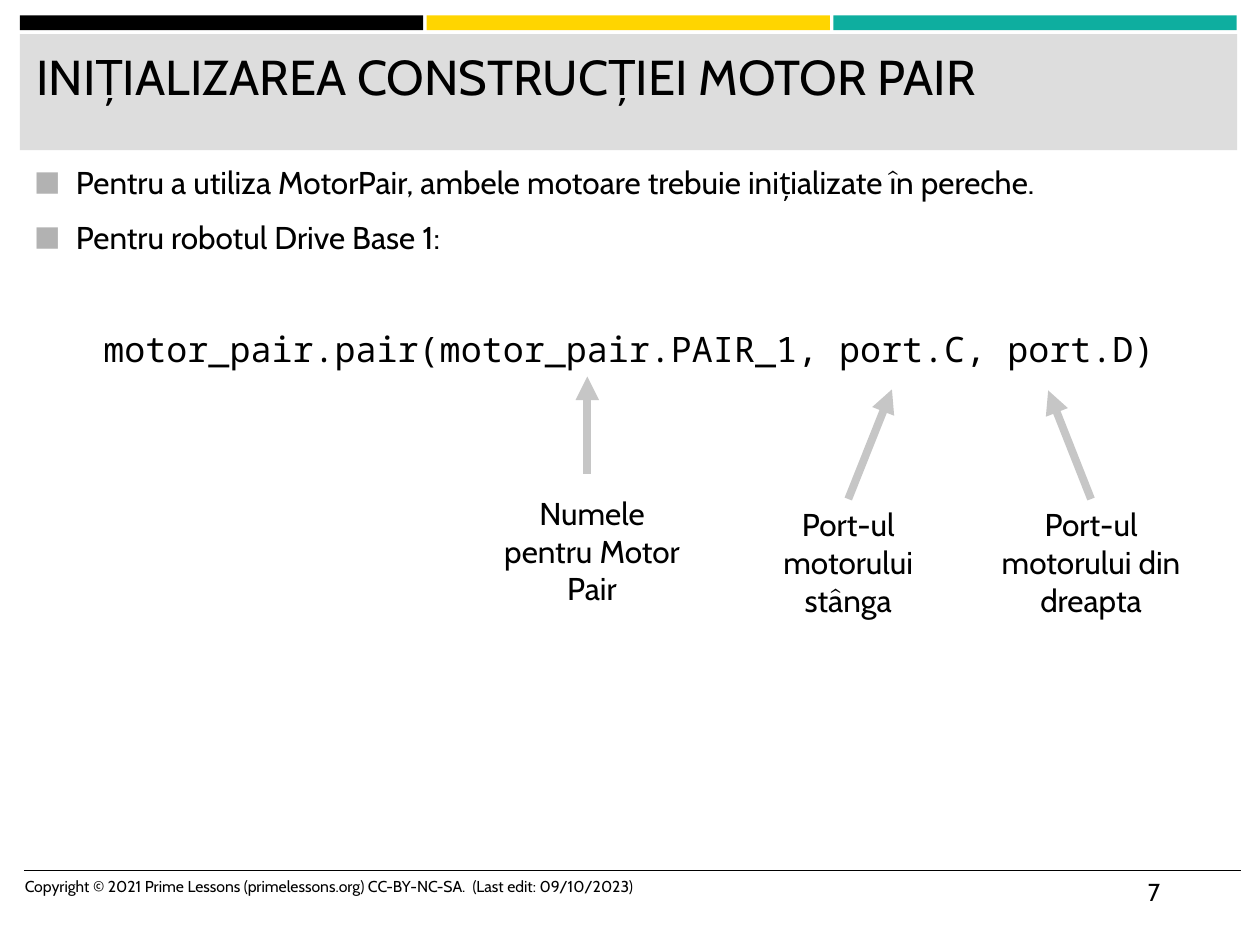
from lxml import etree
from pptx import Presentation
from pptx import util as u
from pptx.dml.color import RGBColor
from pptx.enum import shapes, text
from pptx.oxml import ns

BLACK, YELLOW, TEAL = "000000", "FFD500", "0EAE9F"
PANEL, BULLET, ARROW = "DDDDDD", "B2B2B2", "C6C6C6"


def colour(value):
    return RGBColor.from_string(value)


def add_element(parent, tag, **attributes):
    return etree.SubElement(parent, ns.qn(tag), attributes)


class LessonPage:
    """Holds the lesson style and the page being drawn; lengths are in cm."""

    font = "Cabin"
    code_font = "Noto Sans Mono"

    def __init__(self, page):
        self.page = page

    def bar(self, left, top, width, height, fill):
        shape = self.page.shapes.add_shape(
            shapes.MSO_SHAPE.RECTANGLE,
            u.Cm(left), u.Cm(top), u.Cm(width), u.Cm(height))
        shape.shadow.inherit = False
        shape.fill.solid()
        shape.fill.fore_color.rgb = colour(fill)
        shape.line.fill.background()

    def text(self, left, top, width, height, lines, size,
             font=None, centred=False, bullets=False):
        box = self.page.shapes.add_textbox(
            u.Cm(left), u.Cm(top), u.Cm(width), u.Cm(height))
        frame = box.text_frame
        frame.word_wrap = True
        for index, line in enumerate(lines):
            para = frame.add_paragraph() if index else frame.paragraphs[0]
            para.text = line
            if centred:
                para.alignment = text.PP_ALIGN.CENTER
            if index:
                para.space_before = u.Pt(9.6)
            if bullets:
                self.bullet(para)
            para.font.name = font or self.font
            para.font.size = u.Pt(size)
            para.font.color.rgb = colour(BLACK)
        return box

    def bullet(self, para):
        properties = para._p.get_or_add_pPr()
        indent = u.Cm(0.84)
        properties.set("marL", str(indent))
        properties.set("indent", str(-indent))
        bullet_colour = add_element(properties, "a:buClr")
        add_element(bullet_colour, "a:srgbClr", val=BULLET)
        add_element(properties, "a:buSzPct", val="140000")
        add_element(properties, "a:buFont", typeface=self.code_font)
        add_element(properties, "a:buChar", char="■")

    def line(self, start, end, stroke, width, arrow=False):
        connector = self.page.shapes.add_connector(
            shapes.MSO_CONNECTOR.STRAIGHT, *map(u.Cm, (*start, *end)))
        connector.line.color.rgb = colour(stroke)
        connector.line.width = u.Pt(width)
        if arrow:
            add_element(connector.line._get_or_add_ln(), "a:tailEnd", type="triangle")
        add_element(connector._element.spPr, "a:effectLst")
        return connector


def main():
    deck = Presentation()
    deck.slide_width, deck.slide_height = u.Cm(25.4), u.Cm(19.05)
    lesson = LessonPage(deck.slides.add_slide(deck.slide_layouts[6]))

    for index, fill in enumerate((BLACK, YELLOW, TEAL)):
        lesson.bar(0.4 + 8.2 * index, 0.31, 8.13, 0.3, fill)
    lesson.bar(0.4, 0.69, 24.54, 2.34, PANEL)
    lesson.line((0.48, 17.55), (25.02, 17.55), BLACK, 1)

    lesson.text(0.48, 0.81, 24.31, 2.08, ["INIȚIALIZAREA CONSTRUCȚIEI MOTOR PAIR"], 28)
    lesson.text(0.44, 3.17, 24.54, 14.12, [
        "Pentru a utiliza MotorPair, ambele motoare trebuie inițializate în pereche.",
        "Pentru robotul Drive Base 1:",
    ], 18, bullets=True)
    lesson.text(0.25, 17.55, 13.54, 1.02, [
        "Copyright © 2021 Prime Lessons (primelessons.org) CC-BY-NC-SA.  "
        "(Last edit: 09/10/2023)"], 9)
    lesson.text(22.89, 17.55, 2.13, 1.02, ["7"], 14)
    lesson.text(0.97, 6.48, 23.44, 1.12,
                ["motor_pair.pair(motor_pair.PAIR_1, port.C, port.D)"],
                20, font=lesson.code_font, centred=True)

    # label, left, top, width, arrow start, arrow tip, arrow joined to label
    arguments = [
        ("Numele pentru Motor Pair", 9.8, 9.83, 4.27, (11.84, 9.55), (11.84, 7.59), False),
        ("Port-ul motorului stânga", 15.21, 10.06, 3.78, (17.1, 10.06), (17.98, 7.85), True),
        ("Port-ul motorului din dreapta", 19.86, 10.06, 4.27, (22, 10.06), (21.13, 7.87), True),
    ]
    for label, left, top, width, start, tip, joined in arguments:
        box = lesson.text(left, top, width, 2.57, [label], 18, centred=True)
        arrow = lesson.line(start, tip, ARROW, 4.5, arrow=True)
        if joined:
            arrow.begin_connect(box, 0)

    deck.save("out.pptx")


if __name__ == "__main__":
    main()
